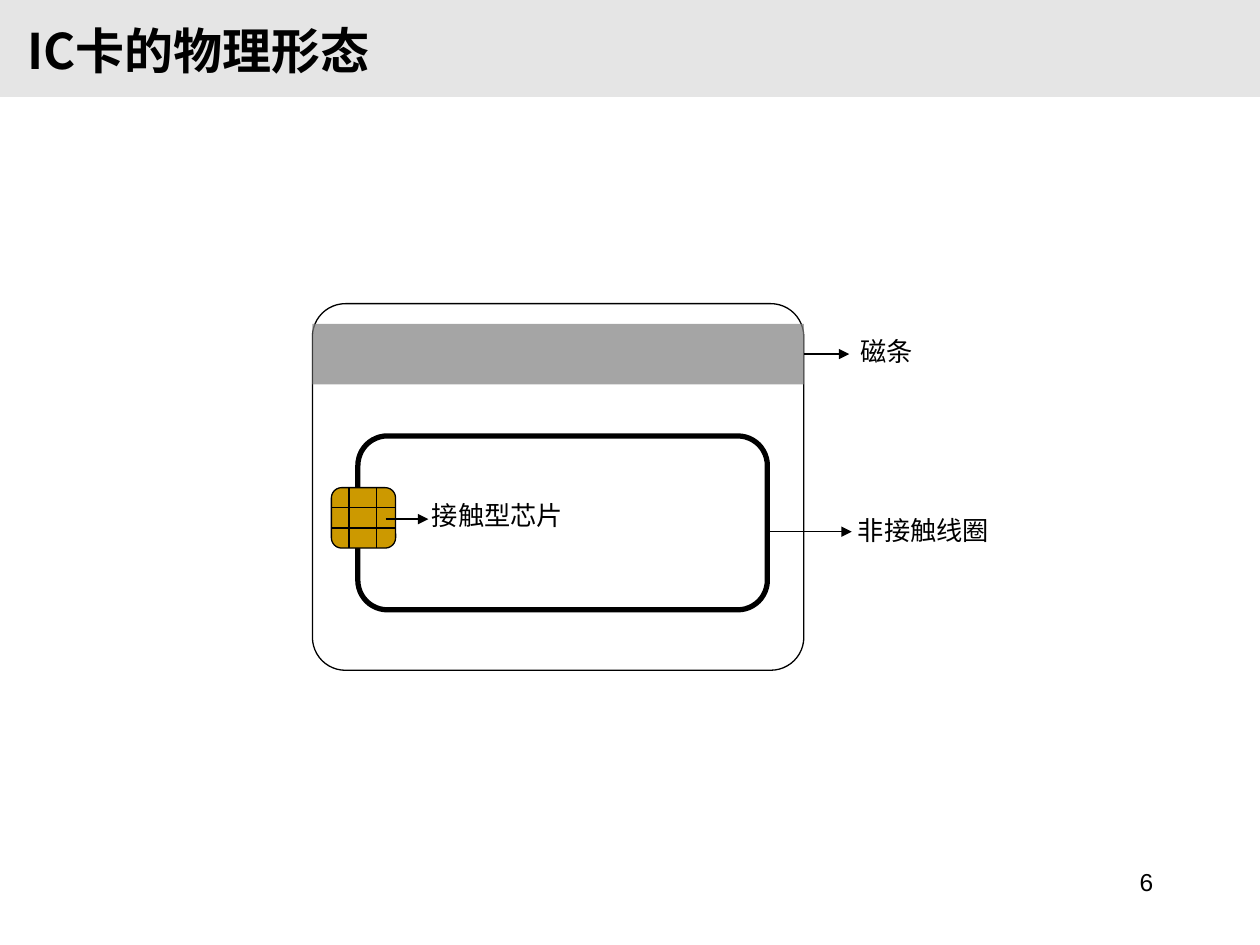
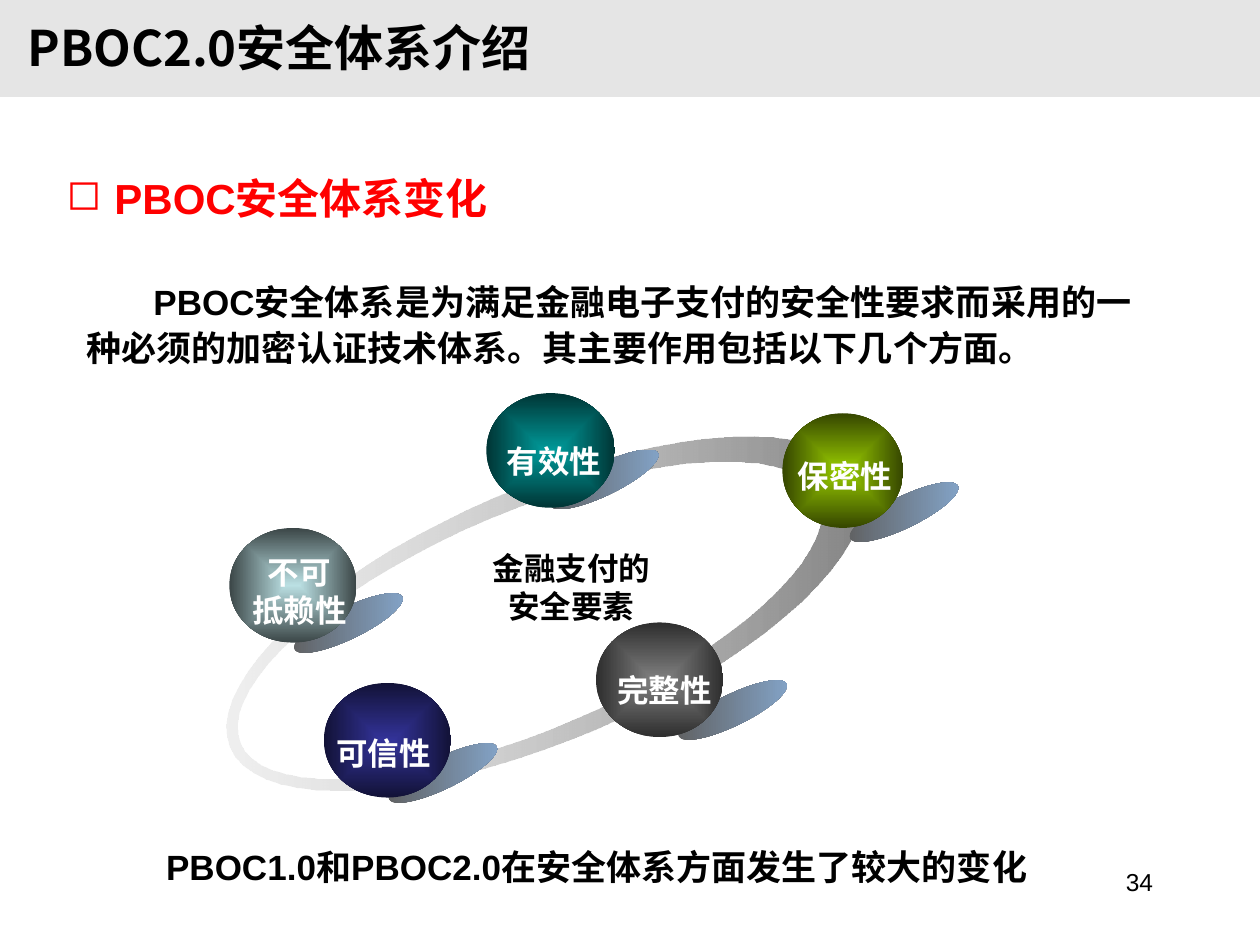
from dataclasses import dataclass
from math import cos, sin, tau

from lxml import etree
from pptx import Presentation
from pptx.dml.color import RGBColor
from pptx.enum.shapes import MSO_CONNECTOR, MSO_SHAPE
from pptx.enum.text import MSO_ANCHOR, PP_ALIGN
from pptx.oxml import parse_xml
from pptx.oxml.ns import nsdecls, qn
from pptx.util import Inches, Pt


@dataclass(frozen=True)
class Theme:
    black: str = "000000"
    white: str = "FFFFFF"
    band: str = "E5E5E5"
    stripe: str = "808080"
    gold: str = "CC9900"
    red: str = "FF0000"
    font: str = "Arial"
    title_font: str = "Noto Sans CJK SC"
    ball_font: str = "DejaVu Sans"
    title_size: int = 28
    heading_size: int = 24
    body_size: int = 20
    ball_size: int = 18
    label_size: int = 15
    number_size: int = 14
    thin: float = 0.75
    thick: float = 3
    shade: tuple = (("5F5F5F", 100), ("84A5CA", 100))
    ring: tuple = (("D9D9D9", 36), ("808080", 100))


class Deck:
    def __init__(self, theme):
        self.theme = theme
        self.prs = Presentation()
        self.prs.slide_width, self.prs.slide_height = Inches(10), Inches(7.5)
        self.s = None

    def slide(self, title, title_top, number):
        t = self.theme
        self.s = self.prs.slides.add_slide(self.prs.slide_layouts[6])
        self.shape((0, 0, 10, 0.77), fill=t.band)
        self.text((7.17, 6.83, 2.08, 0.5), str(number), t.number_size,
                  align=PP_ALIGN.RIGHT)
        self.text((0.12, title_top, 8.9, 0.48), title, t.title_size, bold=True,
                  font=t.title_font, anchor=MSO_ANCHOR.MIDDLE)

    def text(self, box, content, size, color=None, bold=False, font=None,
             align=PP_ALIGN.LEFT, anchor=MSO_ANCHOR.TOP, wrap=True,
             spacing=None, indent=0, bullet=None):
        t = self.theme
        tf = self.s.shapes.add_textbox(*map(Inches, box)).text_frame
        tf.word_wrap, tf.vertical_anchor = wrap, anchor
        look = {"name": font or t.font, "size": Pt(size), "bold": bold}
        for i, line in enumerate(content.split("\n")):
            p = tf.paragraphs[0] if i == 0 else tf.add_paragraph()
            p.alignment, p.line_spacing = align, spacing
            if indent:
                p._p.get_or_add_pPr().set("indent", str(Inches(indent)))
            if bullet:
                self.bullet(p, bullet, color)
            r = p.add_run()
            r.text = line
            for name, value in look.items():
                setattr(r.font, name, value)
            r.font.color.rgb = RGBColor.from_string(color or t.black)

    def bullet(self, p, char, color, hang=0.38):
        pPr = p._p.get_or_add_pPr()
        pPr.set("marL", str(Inches(hang)))
        pPr.set("indent", str(-Inches(hang)))
        clr = etree.SubElement(pPr, qn("a:buClr"))
        etree.SubElement(clr, qn("a:srgbClr"), val=color)
        etree.SubElement(pPr, qn("a:buChar"), char=char)

    def shape(self, box, kind=MSO_SHAPE.RECTANGLE, fill=None, opacity=100,
              line=None, radius=None, rotation=0):
        sp = self.s.shapes.add_shape(kind, *map(Inches, box))
        sp.shadow.inherit = False
        sp.rotation = rotation
        if radius is not None:
            sp.adjustments[0] = radius
        if fill:
            sp.fill.solid()
            sp.fill.fore_color.rgb = RGBColor.from_string(fill)
        if opacity < 100:
            clr = sp._element.spPr.find(qn("a:solidFill"))[0]
            etree.SubElement(clr, qn("a:alpha"), val=str(opacity * 1000))
        if line:
            sp.line.color.rgb = RGBColor.from_string(self.theme.black)
            sp.line.width = Pt(line)
        else:
            sp.line.fill.background()
        return sp

    def gradient(self, sp, stops, angle=None):
        gs = "".join(
            f'<a:gs pos="{i * 100000}"><a:srgbClr val="{color}">'
            f'<a:alpha val="{alpha * 1000}"/></a:srgbClr></a:gs>'
            for i, (color, alpha) in enumerate(stops))
        if angle is None:
            way = ('<a:path path="rect"><a:fillToRect l="50000" t="50000" '
                   'r="50000" b="50000"/></a:path>')
        else:
            way = f'<a:lin ang="{angle * 60000}" scaled="0"/>'
        sp.fill.background()
        spPr = sp._element.spPr
        spPr.replace(spPr.find(qn("a:noFill")), parse_xml(
            f'<a:gradFill {nsdecls("a")} rotWithShape="1">'
            f'<a:gsLst>{gs}</a:gsLst>{way}</a:gradFill>'))

    def ring(self, outer, inner, rotation):
        def contour(cx, cy, rx, ry, steps=72):
            return [(Inches(cx + rx * cos(tau * i / steps)),
                     Inches(cy + ry * sin(tau * i / steps)))
                    for i in range(steps)]

        outside, inside = contour(*outer), contour(*inner)
        fb = self.s.shapes.build_freeform(*outside[0], scale=1.0)
        fb.add_line_segments(outside[1:], close=True)
        fb.move_to(*inside[0])
        fb.add_line_segments(inside[1:], close=True)
        sp = fb.convert_to_shape()
        sp.shadow.inherit = False
        sp.line.fill.background()
        sp.rotation = rotation
        self.gradient(sp, self.theme.ring, 360 - rotation)

    def line(self, x1, y1, x2, y2, arrow=False, start=None):
        c = self.s.shapes.add_connector(
            MSO_CONNECTOR.STRAIGHT, *map(Inches, (x1, y1, x2, y2)))
        if start:
            c.begin_connect(*start)
        c.line.color.rgb = RGBColor.from_string(self.theme.black)
        c.line.width = Pt(self.theme.thin)
        if arrow:
            etree.SubElement(c.line._get_or_add_ln(), qn("a:tailEnd"),
                             type="triangle")
        etree.SubElement(c._element.spPr, qn("a:effectLst"))


def card_slide(deck):
    t = deck.theme
    deck.slide("IC卡的物理形态", 0.16, 6)
    rounded = MSO_SHAPE.ROUNDED_RECTANGLE
    deck.shape((2.48, 2.41, 3.9, 2.91), rounded, t.white, 70, t.thin, 0.09)
    deck.shape((2.84, 3.46, 3.25, 1.38), rounded, t.white, 70, t.thick, 0.17)
    stripe = deck.shape((2.48, 2.57, 3.9, 0.48), fill=t.stripe, opacity=70)

    x, y, w, h = 2.63, 3.87, 0.51, 0.48
    deck.shape((x, y, w, h), rounded, t.gold, line=t.thin, radius=0.17)
    for row in (1, 2):
        deck.line(x, y + row * h / 3, x + w, y + row * h / 3)
    for dx in (0.14, 0.36):
        deck.line(x + dx, y, x + dx, y + h)

    for label, left, top, x1, x2, arrow_y, start in (
            ("磁条", 6.73, 2.61, 6.38, 6.74, 2.81, (stripe, 3)),
            ("接触型芯片", 3.33, 3.91, 3.06, 3.4, 4.12, None),
            ("非接触线圈", 6.71, 4.03, 6.1, 6.76, 4.22, None)):
        deck.text((left, top, 2.32, 0.4), label, t.label_size)
        deck.line(x1, arrow_y, x2, arrow_y, arrow=True, start=start)


def security_slide(deck):
    t = deck.theme
    deck.slide("PBOC2.0安全体系介绍", 0.13, 34)
    deck.text((0.43, 1.32, 7.72, 0.5), "PBOC安全体系变化", t.heading_size,
              t.red, True, anchor=MSO_ANCHOR.MIDDLE, bullet="◻")
    deck.text((0.59, 2.14, 8.64, 0.9),
              "PBOC安全体系是为满足金融电子支付的安全性要求而采用的一"
              "种必须的加密认证技术体系。其主要作用包括以下几个方面。",
              t.body_size, bold=True, spacing=1.1, indent=0.53)

    deck.ring((4.32, 4.87, 2.71, 1), (4.19, 4.87, 2.49, 0.86), 337)
    balls = (
        ("有效性", (3.86, 3.12), 1.02, (0.46, 0.56), (0.06, 0.34), "009999", "003535"),
        ("保密性", (6.21, 3.28), 0.96, (0.49, 0.66), (0.02, 0.3), "99CC00", "354600"),
        ("完整性", (4.73, 4.94), 1.01, (0.61, 0.57), (0.07, 0.34), "808080", "2E2E2E"),
        ("可信性", (2.57, 5.42), 1.01, (0.47, 0.59), (0, 0.36), "333399", "121237"),
        ("不可\n抵赖性", (1.82, 4.19), 1.01, (0.47, 0.63), (0.08, 0.15), "BBE0E3", "3B4647"),
    )
    for _, (x, y), _, (dx, dy), *_ in balls:
        shade = deck.shape((x + dx, y + dy, 0.95, 0.25), MSO_SHAPE.OVAL, rotation=334)
        deck.gradient(shade, t.shade, 26)
    for label, (x, y), w, _, (dx, dy), core, rim in balls:
        ball = deck.shape((x, y, w, 0.91), MSO_SHAPE.OVAL)
        deck.gradient(ball, ((core, 100), (rim, 100)))
        deck.text((x + dx, y + dy, 0.95, 0.4), label, t.ball_size, t.white, True,
                  t.ball_font, PP_ALIGN.CENTER, wrap=False)

    deck.text((3.51, 4.31, 2.05, 0.7), "金融支付的\n安全要素", t.ball_size,
              bold=True, align=PP_ALIGN.CENTER)
    deck.text((1.22, 6.66, 7.17, 0.77),
              "PBOC1.0和PBOC2.0在安全体系方面发生了较大的变化",
              t.body_size, bold=True)


def main():
    deck = Deck(Theme())
    card_slide(deck)
    security_slide(deck)
    deck.prs.save("out.pptx")


if __name__ == "__main__":
    main()
